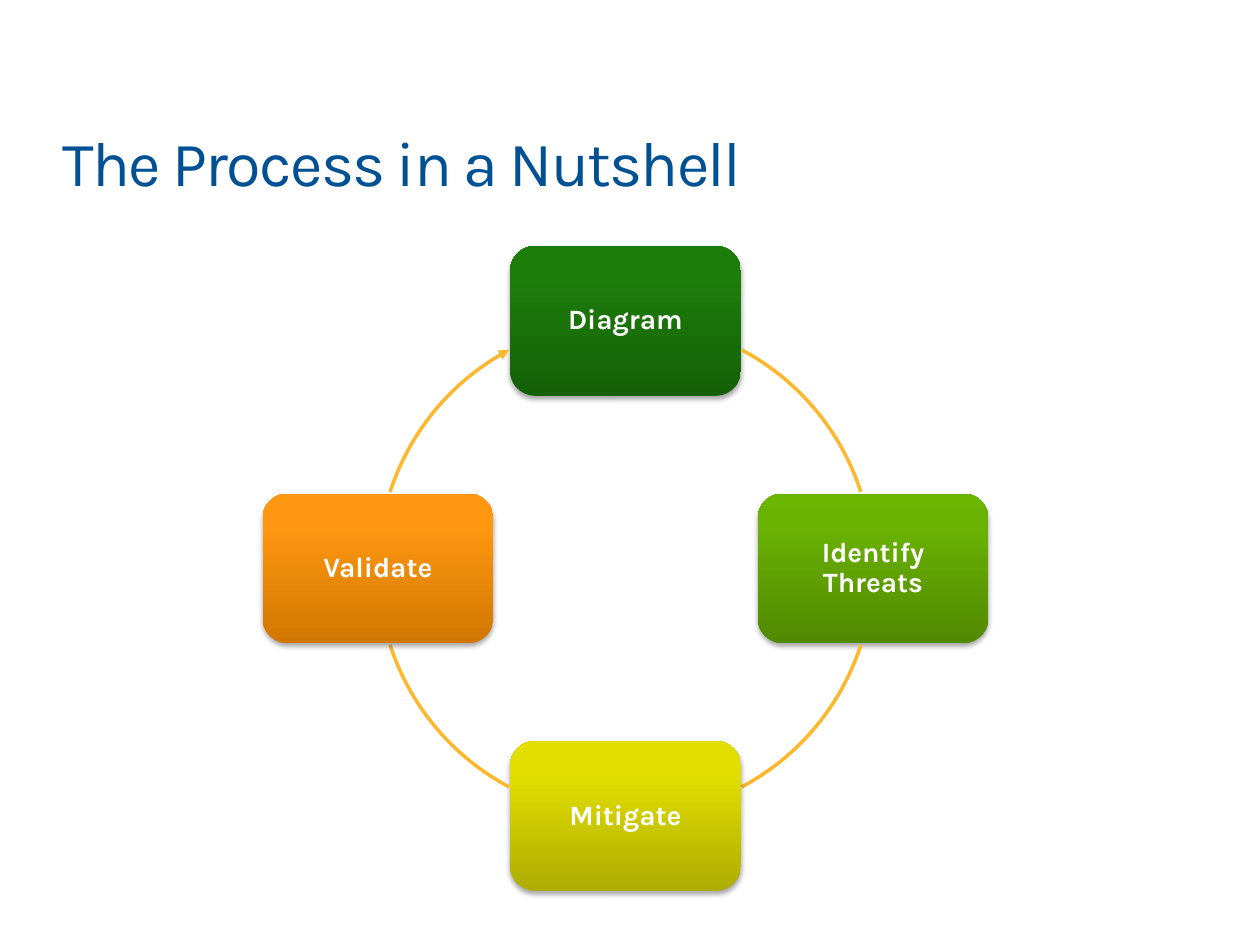
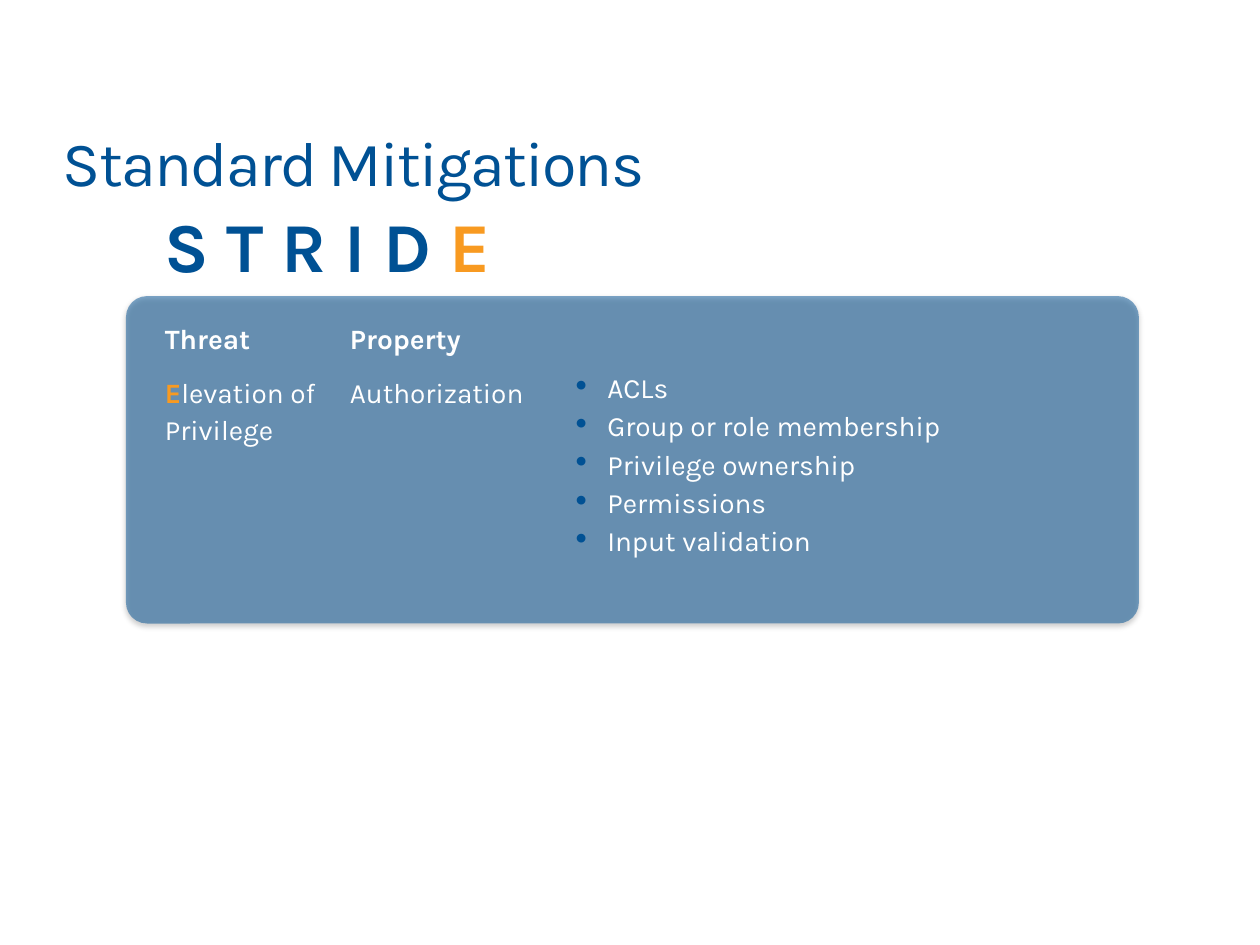
from lxml import etree
from pptx import Presentation
from pptx.dml.color import RGBColor
from pptx.enum.shapes import MSO_SHAPE
from pptx.enum.text import MSO_ANCHOR, PP_ALIGN
from pptx.oxml.ns import qn
from pptx.util import Cm, Pt

ROUNDED, ARC = MSO_SHAPE.ROUNDED_RECTANGLE, MSO_SHAPE.ARC
CENTER, MIDDLE, TOP = PP_ALIGN.CENTER, MSO_ANCHOR.MIDDLE, MSO_ANCHOR.TOP

FONT = "Karla"
COLORS = {"blue": "005194", "accent": "F89A21", "white": "FFFFFF",
          "arc": "FFB82E", "shadow": "000000"}
TITLE = {"size": Pt(36), "bold": False}
LETTERS = {"size": Pt(40), "bold": True}
STRONG = {"size": Pt(16), "bold": True}
BODY = {"size": Pt(16), "bold": False}
NO_GRID_STYLE = "{2D5ABB26-0587-4C30-8999-92F81FD0307C}"

# Process steps clockwise from the top: label and bottom-to-top gradient
STEPS = [
    ("Diagram", ("166008", "1D7D0A", "1C7F08")),
    ("Identify Threats", ("528902", "6AB202", "6BB500")),
    ("Mitigate", ("AEAC00", "E2DF00", "E3E100")),
    ("Validate", ("D17601", "FF9711", "FF9813")),
]
DIRECTIONS = [(0, -1), (1, 0), (0, 1), (-1, 0)]
# Arc angles in degrees, clockwise from three o'clock
ARC_ANGLES = [(298, 342), (18, 62), (118, 162), (198, 242)]
MITIGATIONS = ["ACLs", "Group or role membership", "Privilege ownership",
               "Permissions", "Input validation"]


def rgb(name):
    return RGBColor.from_string(COLORS[name])


def set_values(target, values):
    for attribute, value in values.items():
        setattr(target, attribute, value)


def add_child(parent, tag, **attributes):
    child = etree.SubElement(parent, qn(tag))
    for key, value in attributes.items():
        child.set(key, str(value))
    return child


def add_color(parent, hex_value, opacity=100):
    color = add_child(parent, "a:srgbClr", val=hex_value)
    if opacity < 100:
        add_child(color, "a:alpha", val=opacity * 1000)


def add_run(paragraph, text, style, color):
    run = paragraph.add_run()
    run.text = text
    set_values(run.font, {"name": FONT, **style})
    run.font.color.rgb = rgb(color)
    return run


def add_text_box(slide, left, top, width, height, margin_x=0, margin_y=0):
    frame = slide.shapes.add_textbox(Cm(left), Cm(top), Cm(width), Cm(height)).text_frame
    set_values(frame, {"word_wrap": True, "vertical_anchor": TOP,
                       "margin_left": Cm(margin_x), "margin_right": Cm(margin_x),
                       "margin_top": Cm(margin_y), "margin_bottom": Cm(margin_y)})
    return frame.paragraphs[0]


def add_title(slide, text):
    run = add_run(add_text_box(slide, 1.27, 2.49, 22.89, 1.55), text, TITLE, "blue")
    run.font._element.set("spc", "-100")


def add_soft_shadow(shape, opacity, distance):
    shape.shadow.inherit = False
    effects = shape._element.spPr.find(qn("a:effectLst"))
    shadow = add_child(effects, "a:outerShdw", blurRad=Pt(3.1), dist=Pt(distance),
                       dir=90 * 60000, algn="ctr", rotWithShape=0)
    add_color(shadow, COLORS["shadow"], opacity)


def add_step(slide, label, gradient, center_x, center_y):
    width, height = 4.65, 3.02
    step = slide.shapes.add_shape(ROUNDED, Cm(center_x - width / 2),
                                  Cm(center_y - height / 2), Cm(width), Cm(height))
    step.fill.gradient()
    step.fill.gradient_angle = 90
    stops = step._element.spPr.find(qn("a:gradFill")).find(qn("a:gsLst"))
    for stop in list(stops):
        stops.remove(stop)
    for position, color in zip((0, 80, 100), gradient):
        add_color(add_child(stops, "a:gs", pos=position * 1000), color)
    step._element.spPr.find(qn("a:gradFill")).find(qn("a:lin")).set("ang", str(270 * 60000))
    step.line.fill.background()
    add_soft_shadow(step, 35, 1.8)
    margin = Cm(0.18)
    set_values(step.text_frame, {"word_wrap": True, "vertical_anchor": MIDDLE,
                                 "margin_left": margin, "margin_right": margin,
                                 "margin_top": margin, "margin_bottom": margin})
    paragraph = step.text_frame.paragraphs[0]
    set_values(paragraph, {"alignment": CENTER, "line_spacing": 0.9})
    add_run(paragraph, label, STRONG, "white")


def add_arc(slide, center_x, center_y, radius, angles, arrow):
    arc = slide.shapes.add_shape(ARC, Cm(center_x - radius), Cm(center_y - radius),
                                 Cm(2 * radius), Cm(2 * radius))
    for index, angle in enumerate(angles):
        arc.adjustments[index] = angle * 0.6
    arc.fill.background()
    arc.shadow.inherit = False
    arc.line.color.rgb = rgb("arc")
    arc.line.width = Pt(2)
    if arrow:
        add_child(arc.line._get_or_add_ln(), "a:tailEnd", type="triangle")


def add_panel(slide):
    panel = slide.shapes.add_shape(ROUNDED, Cm(2.54), Cm(5.97), Cm(20.42), Cm(6.6))
    panel.adjustments[0] = 0.064
    panel.fill.solid()
    panel.fill.fore_color.rgb = rgb("blue")
    color = panel._element.spPr.find(qn("a:solidFill")).find(qn("a:srgbClr"))
    add_child(color, "a:alpha", val=50000)
    panel.line.fill.background()
    add_soft_shadow(panel, 38, 1.6)


def fill_bullets(frame, items):
    for index, item in enumerate(items):
        paragraph = frame.add_paragraph() if index else frame.paragraphs[0]
        properties = paragraph._p.get_or_add_pPr()
        properties.set("marL", str(Cm(0.64)))
        properties.set("indent", str(-Cm(0.64)))
        if index:
            paragraph.space_before = Pt(3.2)
        add_color(add_child(properties, "a:buClr"), COLORS["blue"])
        add_child(properties, "a:buSzPct", val=120000)
        add_child(properties, "a:buChar", char="•")
        add_run(paragraph, item, BODY, "white")


def add_threat_table(slide):
    widths, heights = (3.73, 4.55, 11.61), (1.09, 4.19)
    frame = slide.shapes.add_table(2, 3, Cm(3.07), Cm(6.3),
                                   Cm(sum(widths)), Cm(sum(heights)))
    table = frame.table
    set_values(table, {"first_row": False, "horz_banding": False})
    table._tbl.tblPr.find(qn("a:tableStyleId")).text = NO_GRID_STYLE
    for column, width in zip(table.columns, widths):
        column.width = Cm(width)
    for row, height in zip(table.rows, heights):
        row.height = Cm(height)
    for cell in table.iter_cells():
        cell.fill.background()

    cell_runs = {
        (0, 0): [("Threat", STRONG, "white")],
        (0, 1): [("Property", STRONG, "white")],
        (1, 0): [("E", STRONG, "accent"), ("levation of Privilege", BODY, "white")],
        (1, 1): [("Authorization", BODY, "white")],
    }
    for position, runs in cell_runs.items():
        paragraph = table.cell(*position).text_frame.paragraphs[0]
        paragraph.line_spacing = 1.15
        for run in runs:
            add_run(paragraph, *run)
    fill_bullets(table.cell(1, 2).text_frame, MITIGATIONS)


def build_process(slide):
    add_title(slide, "The Process in a Nutshell")
    center_x, center_y, radius = 12.61, 11.46, 4.99
    for (label, gradient), (dx, dy), angles in zip(STEPS, DIRECTIONS, ARC_ANGLES):
        add_step(slide, label, gradient, center_x + dx * radius, center_y + dy * radius)
        add_arc(slide, center_x, center_y, radius, angles, arrow=label == "Validate")


def build_mitigations(slide):
    add_panel(slide)
    stride = add_text_box(slide, 3.07, 3.96, 9.68, 1.96, 0.25, 0.13)
    add_run(stride, "S T R I D ", LETTERS, "blue")
    add_run(stride, "E", LETTERS, "accent")
    add_threat_table(slide)
    add_title(slide, "Standard Mitigations")


def main():
    deck = Presentation()
    set_values(deck, {"slide_width": Cm(25.4), "slide_height": Cm(19.05)})
    blank = deck.slide_layouts[6]
    for build in (build_process, build_mitigations):
        build(deck.slides.add_slide(blank))
    deck.save("out.pptx")


if __name__ == "__main__":
    main()
